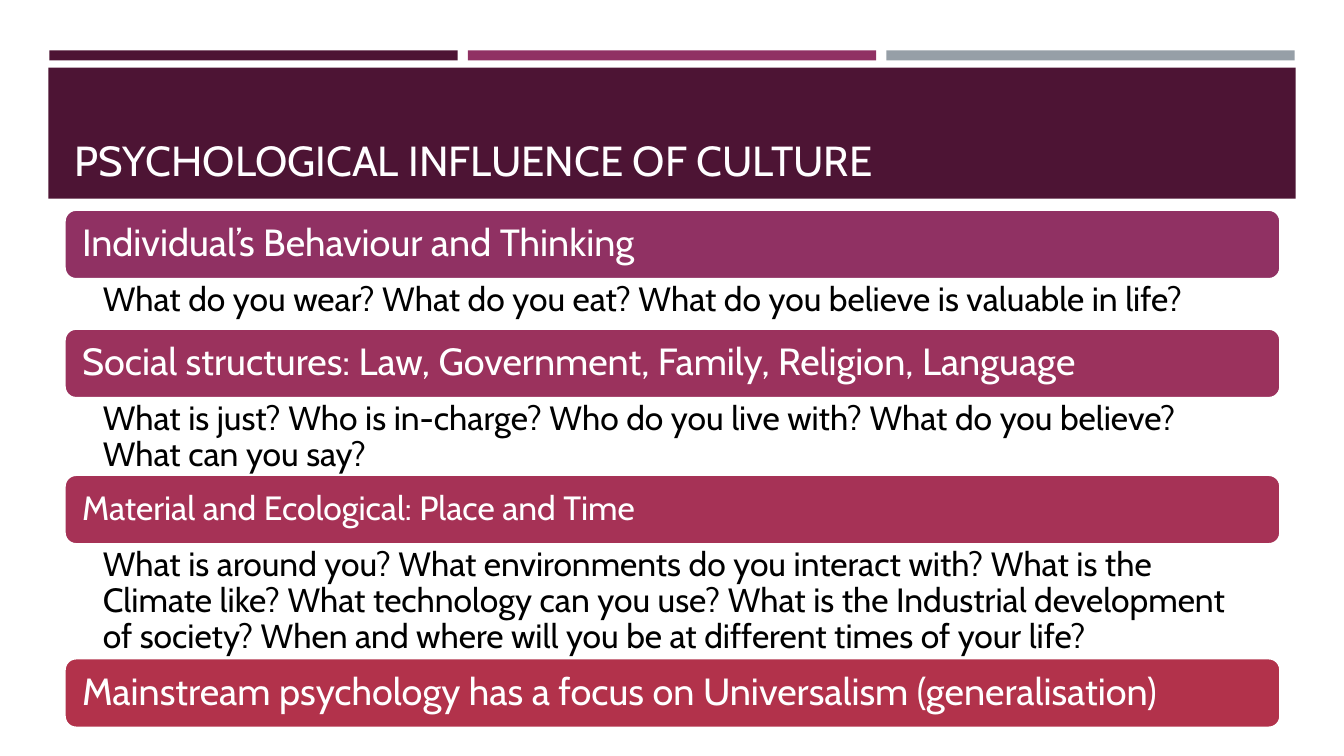
from pptx import Presentation
from pptx import util as u
from pptx.dml.color import RGBColor
from pptx.enum import shapes, text


def color(hex_code):
    return RGBColor.from_string(hex_code)


class SlideBuilder:
    font = "Cabin"
    white = "FFFFFF"
    plum = "4D1434"

    def __init__(self, slide):
        self.slide = slide

    def box(self, kind, left, top, width, height, fill, outline=None):
        box = self.slide.shapes.add_shape(
            kind, u.Inches(left), u.Inches(top), u.Inches(width), u.Inches(height))
        box.shadow.inherit = False
        box.fill.solid()
        box.fill.fore_color.rgb = color(fill)
        if outline:
            box.line.color.rgb = color(outline)
            box.line.width = u.Pt(1.75)
        else:
            box.line.fill.background()
        return box

    def bar(self, left, top, width, height, fill):
        self.box(shapes.MSO_SHAPE.RECTANGLE, left, top, width, height, fill)

    def fill_text(self, frame, wording, size, ink, anchor, insets, spacing=0.9):
        frame.word_wrap = True
        frame.vertical_anchor = anchor
        (frame.margin_left, frame.margin_top,
         frame.margin_right, frame.margin_bottom) = map(u.Inches, insets)
        paragraph = frame.paragraphs[0]
        paragraph.alignment = text.PP_ALIGN.LEFT
        paragraph.line_spacing = spacing
        for index, line in enumerate(wording.split("\n")):
            if index:
                paragraph.add_line_break()
            run = paragraph.add_run()
            run.text = line
            run.font.name = self.font
            run.font.size = u.Pt(size)
            run.font.color.rgb = color(ink)

    def label(self, left, top, width, height, *style, **options):
        label = self.slide.shapes.add_textbox(
            u.Inches(left), u.Inches(top), u.Inches(width), u.Inches(height))
        self.fill_text(label.text_frame, *style, **options)

    def heading(self, left, top, width, height, wording, size, fill):
        heading = self.box(shapes.MSO_SHAPE.ROUNDED_RECTANGLE,
                           left, top, width, height, fill, self.white)
        self.fill_text(heading.text_frame, wording, size, self.white,
                       text.MSO_ANCHOR.MIDDLE, (0.14, 0.1, 0.14, 0.1))


TOPICS = [
    ("Individual’s Behaviour and Thinking", 27, "903163", 0.49,
     "What do you wear? What do you eat? What do you believe is valuable in life?"),
    ("Social structures: Law, Government, Family, Religion, Language", 27, "9B325D", 0.76,
     "What is just? Who is in-charge? Who do you live with? What do you believe?\n"
     "What can you say?"),
    ("Material and Ecological: Place and Time", 24, "A63256", 1.13,
     "What is around you? What environments do you interact with? What is the "
     "Climate like? What technology can you use? What is the Industrial development "
     "of society? When and where will you be at different times of your life?"),
    ("Mainstream psychology has a focus on Universalism (generalisation)", 27, "B2324B", 0, ""),
]


def main():
    presentation = Presentation()
    presentation.slide_width = u.Inches(13.33)
    presentation.slide_height = u.Inches(7.5)
    builder = SlideBuilder(presentation.slides.add_slide(presentation.slide_layouts[6]))

    for column, fill in enumerate((builder.plum, "903163", "969FA7")):
        builder.bar(0.49 + column * 4.15, 0.5, 4.05, 0.1, fill)
    builder.bar(0.48, 0.67, 12.37, 1.3, builder.plum)

    left, width, heading_height = 0.64, 12.06, 0.69
    builder.label(left, 0.77, width, 1.11, "PSYCHOLOGICAL INFLUENCE OF CULTURE",
                  30, "FFFEFF", text.MSO_ANCHOR.BOTTOM, (0.1, 0.05, 0.1, 0.05),
                  spacing=1.0)

    top = 2.08
    for topic, size, fill, questions_height, questions in TOPICS:
        builder.heading(left, top, width, heading_height, topic, size, fill)
        top += heading_height
        if questions:
            builder.label(left, top, width, questions_height, questions, 24, "000000",
                          text.MSO_ANCHOR.TOP, (0.38, 0.03, 0.19, 0.03))
            top += questions_height

    presentation.save("out.pptx")


if __name__ == "__main__":
    main()
